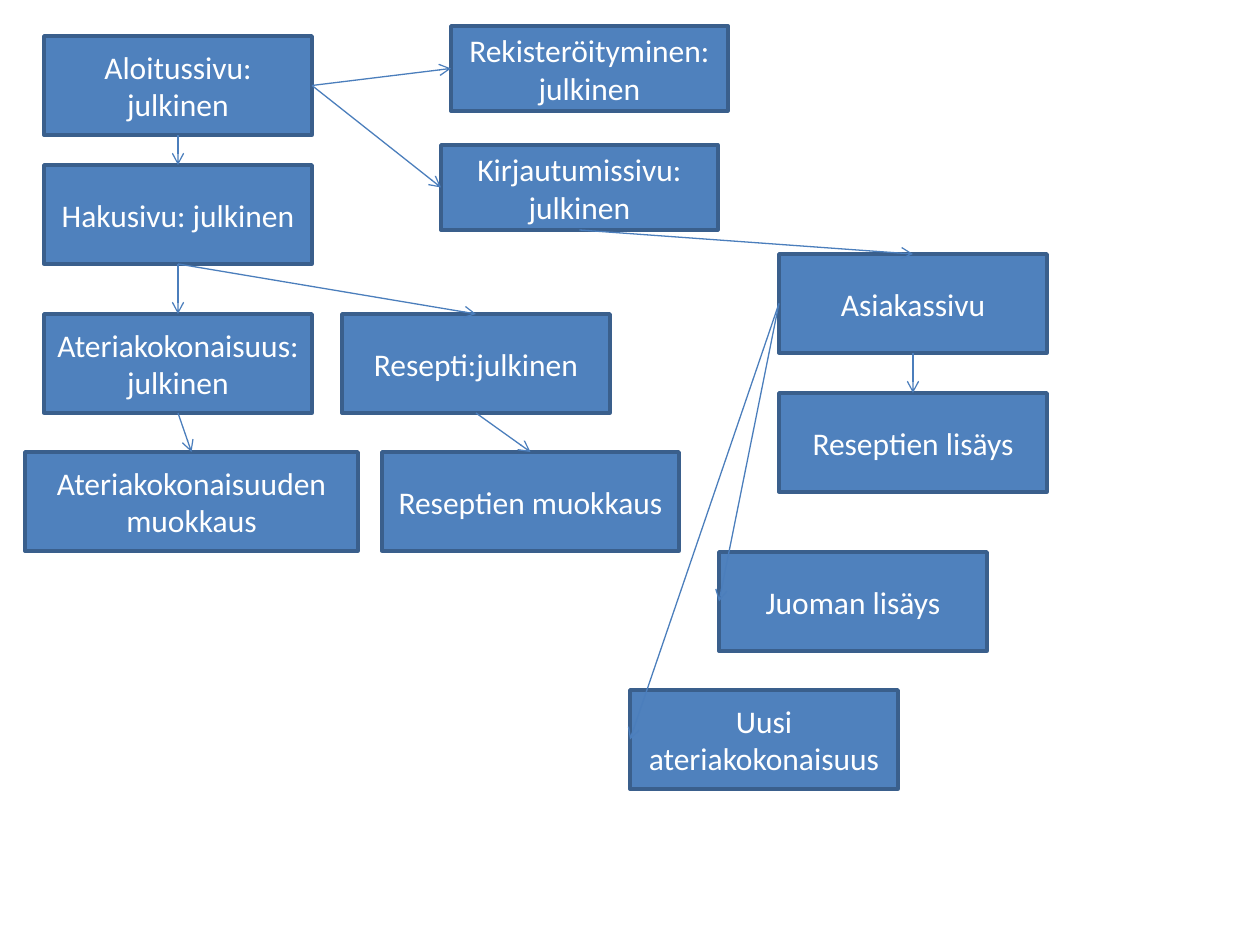
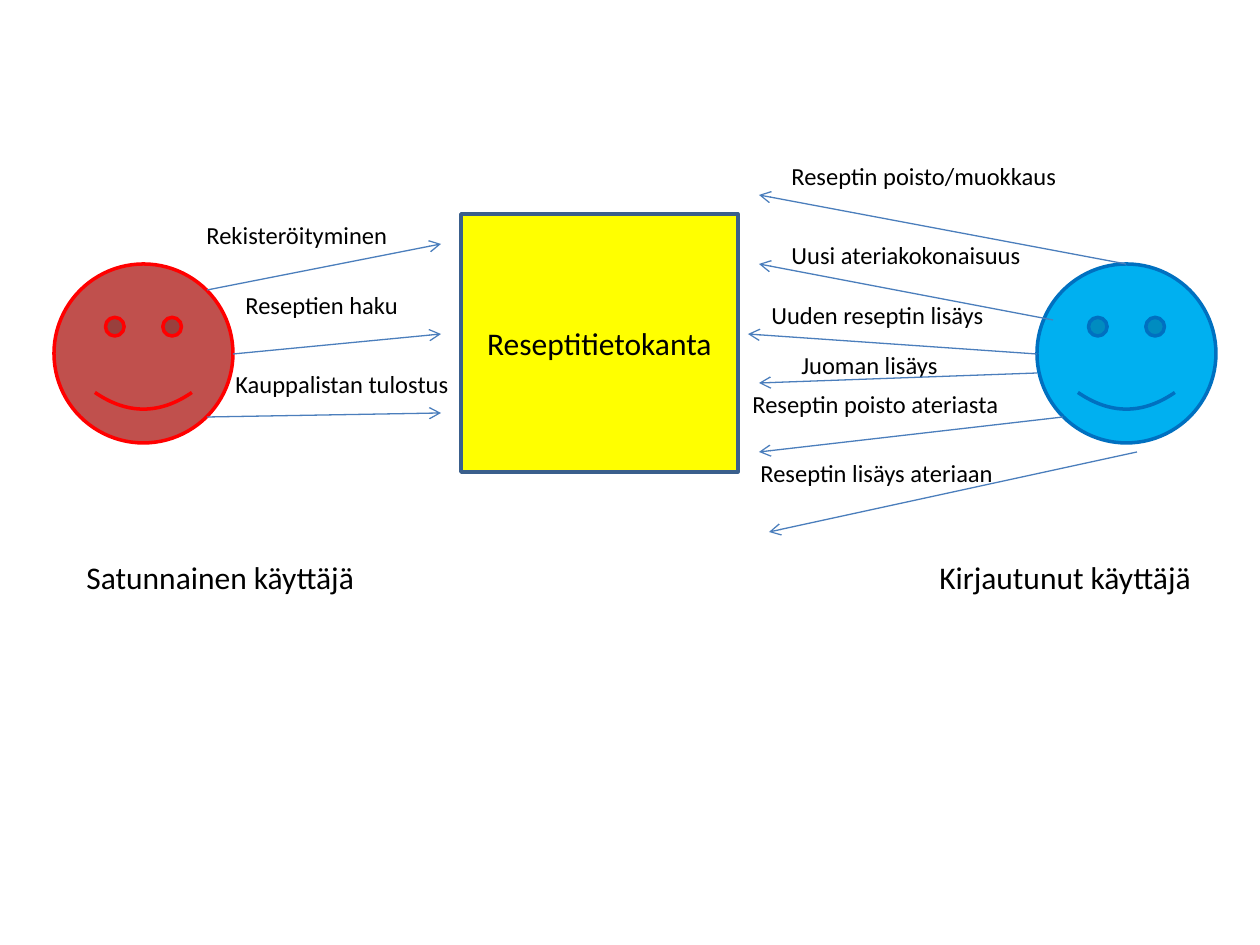
from pptx import Presentation
from pptx import util as u
from pptx.dml.color import RGBColor
from pptx.enum import shapes, text
from pptx.oxml.ns import qn
from lxml import etree

SCALE = 914400 / 126  # EMU in one pixel
WIDE, HIGH = 1260, 945
INK = {
    "box": "4F81BD", "edge": "3A5F8C", "arrow": "4B7EBC",
    "white": "FFFFFF", "black": "000000", "store": "FFFF00",
    "guest": "C0504D", "guest_edge": "FF0000",
    "member": "00B0F0", "member_edge": "0070C0",
}
FONT = "Calibri"
TOP, LEFT, BOTTOM, RIGHT = range(4)  # connection sites of a rectangle


def emu(*pixels):
    """Turn pixel lengths into EMU."""
    return [u.Emu(round(p * SCALE)) for p in pixels]


def tint(name):
    """Give the colour that has this name."""
    return RGBColor.from_string(INK[name])


def assign(target, values):
    """Set attributes from a dict."""
    for key, value in values.items():
        setattr(target, key, value)


def write(shape, words, size, color, align, frame):
    """Put one formatted paragraph into a shape."""
    assign(shape.text_frame, frame)
    para = shape.text_frame.paragraphs[0]
    para.alignment = align
    run = para.add_run()
    run.text = words
    assign(run.font, {"name": FONT, "size": u.Pt(size)})
    run.font.color.rgb = tint(color)


def draw(slide, kind, box, fill, edge):
    """Add a filled and outlined preset shape."""
    shape = slide.shapes.add_shape(kind, *emu(*box))
    shape.shadow.inherit = False
    shape.fill.solid()
    shape.fill.fore_color.rgb = tint(fill)
    shape.line.color.rgb = tint(edge)
    shape.line.width = u.Pt(2)
    return shape


def block(slide, box, words, fill="box", color="white"):
    """Add a rectangle with centred text."""
    shape = draw(slide, shapes.MSO_SHAPE.RECTANGLE, box, fill, "edge")
    write(shape, words, 18, color, text.PP_ALIGN.CENTER,
          {"word_wrap": True, "vertical_anchor": text.MSO_ANCHOR.MIDDLE})
    return shape


def label(slide, box, words, size):
    """Add a plain line of text."""
    shape = slide.shapes.add_textbox(*emu(*box))
    write(shape, words, size, "black", text.PP_ALIGN.LEFT,
          {"word_wrap": False, "auto_size": text.MSO_AUTO_SIZE.SHAPE_TO_FIT_TEXT})


def arrow(slide, start=(0, 0), end=(0, 0)):
    """Add a thin straight arrow."""
    line = slide.shapes.add_connector(
        shapes.MSO_CONNECTOR.STRAIGHT, *emu(*start, *end))
    line.line.color.rgb = tint("arrow")
    line.line.width = u.Pt(0.75)
    etree.SubElement(line.line._get_or_add_ln(), qn("a:tailEnd"), type="arrow")
    etree.SubElement(line._element.spPr, qn("a:effectLst"))
    return line


def sitemap(slide, box, pages, links):
    """Place the pages in the box and link their sides with arrows."""
    left, top = box[:2]
    made = {}
    for key, (words, x, y, w, h) in pages.items():
        made[key] = block(slide, (left + x, top + y, w, h), words)
    for tail, exit_side, head, entry_side in links:
        line = arrow(slide)
        line.begin_connect(made[tail], exit_side)
        line.end_connect(made[head], entry_side)


def user(slide, box, role, caption, acts):
    """Draw a user in the box, with a caption, action labels and arrows."""
    left, top = box[:2]
    draw(slide, shapes.MSO_SHAPE.SMILEY_FACE, box, role, role + "_edge")
    words, x, w = caption
    label(slide, (left + x, top + 288, w, 50), words, 18)
    for words, (x, y, w), start, end in acts:
        label(slide, (left + x, top + y, w, 43), words, 14)
        arrow(slide, (left + start[0], top + start[1]),
              (left + end[0], top + end[1]))


NORM = (268, 99)   # usual page size
FORM = (277, 85)   # sign-up and log-in size
PAGES = {
    "start": ("Aloitussivu: julkinen", 44, 36, *NORM),
    "find": ("Hakusivu: julkinen", 44, 165, *NORM),
    "meal": ("Ateriakokonaisuus: julkinen", 44, 314, *NORM),
    "dish": ("Resepti:julkinen", 342, 314, *NORM),
    "meal_edit": ("Ateriakokonaisuuden muokkaus", 25, 452, 333, 99),
    "dish_edit": ("Reseptien muokkaus", 382, 452, 297, 99),
    "join": ("Rekisteröityminen: julkinen", 451, 26, *FORM),
    "login": ("Kirjautumissivu: julkinen", 441, 145, *FORM),
    "client": ("Asiakassivu", 779, 254, *NORM),
    "dish_add": ("Reseptien lisäys", 779, 393, *NORM),
    "drink": ("Juoman lisäys", 719, 552, *NORM),
    "meal_add": ("Uusi ateriakokonaisuus", 630, 690, *NORM),
}
LINKS = [
    ("start", RIGHT, "join", LEFT),
    ("start", RIGHT, "login", LEFT),
    ("login", BOTTOM, "client", TOP),
    ("client", BOTTOM, "dish_add", TOP),
    ("client", LEFT, "drink", LEFT),
    ("client", LEFT, "meal_add", LEFT),
    ("start", BOTTOM, "find", TOP),
    ("find", BOTTOM, "meal", TOP),
    ("find", BOTTOM, "dish", TOP),
    ("meal", BOTTOM, "meal_edit", TOP),
    ("dish", BOTTOM, "dish_edit", TOP),
]

# Each action: words, label (x, y, width), arrow start, arrow end
GUEST = [
    ("Rekisteröityminen", (140, -50, 208), (153, 26), (387, -20)),
    ("Reseptien haku", (179, 20, 180), (179, 90), (387, 70)),
    ("Kauppalistan tulostus", (169, 99, 241), (153, 153), (387, 149)),
]
MEMBER = [
    ("Reseptin poisto/muokkaus", (-258, -109, 294), (89, 0), (-278, -69)),
    ("Uusi ateriakokonaisuus", (-258, -30, 257), (16, 56), (-278, 0)),
    ("Uuden reseptin lisäys", (-278, 30, 241), (0, 90), (-289, 70)),
    ("Juoman lisäys", (-248, 80, 163), (0, 109), (-278, 119)),
    ("Reseptin poisto ateriasta", (-297, 119, 297), (26, 153), (-278, 188)),
    ("Reseptin lisäys ateriaan", (-289, 188, 261), (100, 188), (-268, 268)),
]

deck = Presentation()
deck.slide_width, deck.slide_height = emu(WIDE, HIGH)
blank = deck.slide_layouts[6]

sitemap(deck.slides.add_slide(blank), (0, 0, WIDE, HIGH), PAGES, LINKS)

uses = deck.slides.add_slide(blank)
block(uses, (461, 214, 277, 258), "Reseptitietokanta", "store", "black")
user(uses, (54, 264, 179, 179), "guest",
     ("Satunnainen käyttäjä", 20, 296), GUEST)
user(uses, (1037, 264, 179, 179), "member",
     ("Kirjautunut käyttäjä", -110, 280), MEMBER)

deck.save("out.pptx")
